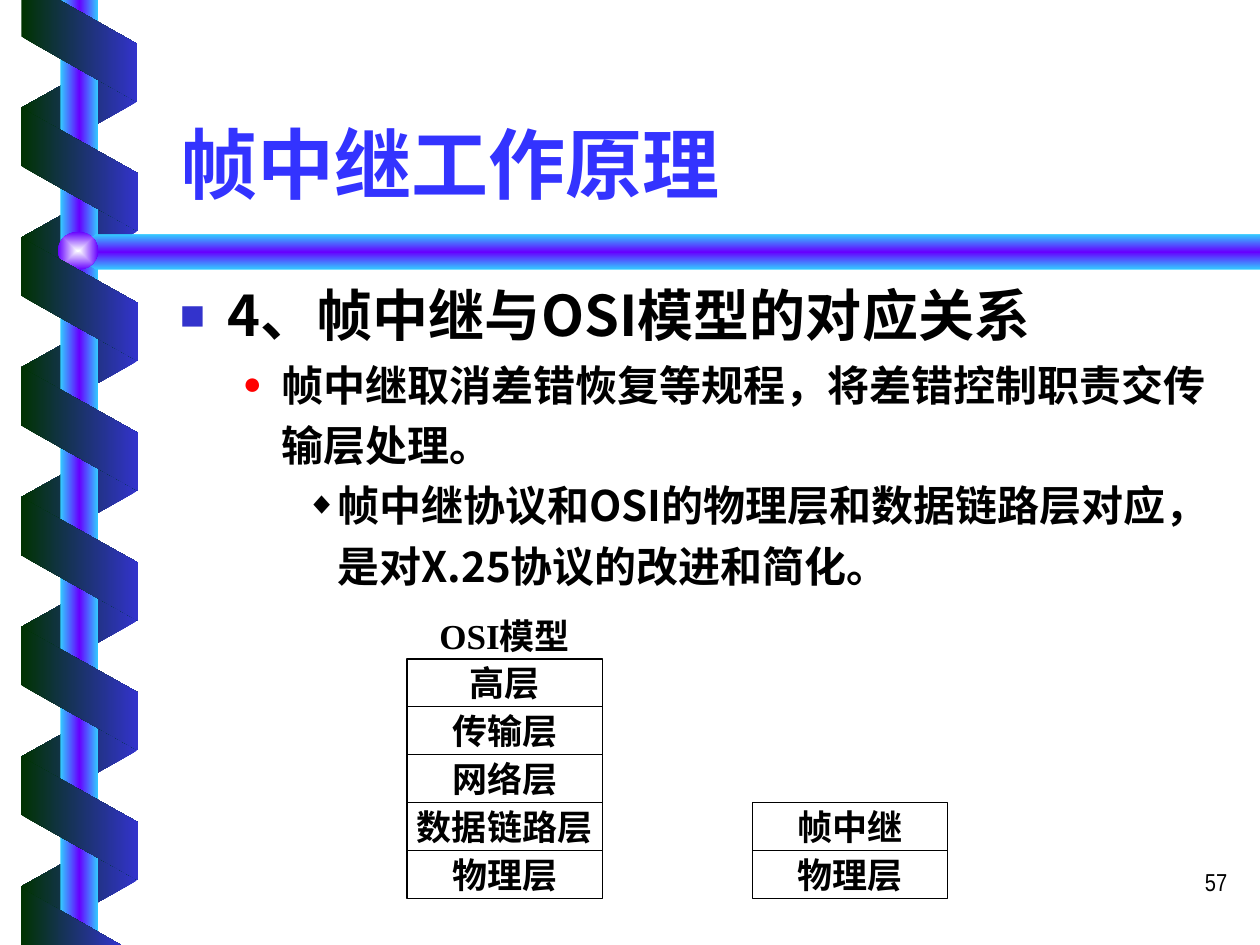
from lxml import etree
from pptx import Presentation
from pptx.dml.color import RGBColor
from pptx.enum.shapes import MSO_SHAPE
from pptx.enum.text import MSO_ANCHOR, MSO_AUTO_SIZE, PP_ALIGN
from pptx.oxml import parse_xml
from pptx.oxml.ns import nsdecls, qn
from pptx.util import Inches, Pt

RECTANGLE, OVAL = MSO_SHAPE.RECTANGLE, MSO_SHAPE.OVAL
PARALLELOGRAM = MSO_SHAPE.PARALLELOGRAM
TOP, MIDDLE, BOTTOM = MSO_ANCHOR.TOP, MSO_ANCHOR.MIDDLE, MSO_ANCHOR.BOTTOM
LEFT, CENTER, RIGHT = PP_ALIGN.LEFT, PP_ALIGN.CENTER, PP_ALIGN.RIGHT
SANS, SERIF, NARROW = "Noto Sans CJK SC", "Times New Roman", "Arial Narrow"
GREEN_TO_BLUE = ["003300", "3333CC"]
TUBE = ["33CCFF", "6600FF", "33CCFF"]
PITCH = 1.03  # one turn of the ribbon


def paint_gradient(shape, colors, angle=0, centered=False):
    """Fill a shape with evenly spaced colour stops and remove line and shadow."""
    stops = "".join(
        f'<a:gs pos="{100000 * i // (len(colors) - 1)}"><a:srgbClr val="{color}"/></a:gs>'
        for i, color in enumerate(colors))
    direction = f'<a:lin ang="{angle * 60000}" scaled="0"/>'
    if centered:
        direction = ('<a:path path="rect"><a:fillToRect l="50000" t="50000" '
                     'r="50000" b="50000"/></a:path>')
    gradient = parse_xml(f'<a:gradFill {nsdecls("a")} rotWithShape="0">'
                         f'<a:gsLst>{stops}</a:gsLst>{direction}</a:gradFill>')
    shape.shadow.inherit = False
    shape.line.fill.background()
    shape.fill.background()
    properties = shape._element.spPr
    properties.replace(properties.find(qn("a:noFill")), gradient)


def format_text(shape, size, font_name, color="000000", bold=True,
                align=LEFT, anchor=TOP, margins=(0.1, 0.05), wrap=True):
    """Format the frame, paragraphs and runs of a shape that holds text."""
    frame = shape.text_frame
    frame.auto_size = MSO_AUTO_SIZE.NONE
    frame.word_wrap = wrap
    frame.vertical_anchor = anchor
    frame.margin_left = frame.margin_right = Inches(margins[0])
    frame.margin_top = frame.margin_bottom = Inches(margins[1])
    for paragraph in frame.paragraphs:
        paragraph.alignment = align
        for run in paragraph.runs:
            run.font.size = Pt(size)
            run.font.bold = bold
            run.font.name = font_name
            run.font.color.rgb = RGBColor.from_string(color)
            east_asian = etree.SubElement(run.font._element, qn("a:ea"))
            east_asian.set("typeface", SANS)


presentation = Presentation()
presentation.slide_width, presentation.slide_height = Inches(10), Inches(7.5)
slide = presentation.slides.add_slide(presentation.slide_layouts[5])
shapes = slide.shapes

# Back turns of the ribbon
for turn in range(7):
    ribbon = shapes.add_shape(PARALLELOGRAM, Inches(0.14), Inches(0.37 + turn * PITCH),
                              Inches(0.98), Inches(0.92))
    ribbon.adjustments[0] = 0.56
    ribbon.rotation = 90
    ribbon._element.spPr.get_or_add_xfrm().set("flipH", "1")
    paint_gradient(ribbon, GREEN_TO_BLUE[::-1])

# Vertical pole, horizontal bar and the joint between them
pole = shapes.add_shape(RECTANGLE, Inches(0.48), 0, Inches(0.3), presentation.slide_height)
paint_gradient(pole, TUBE)

bar_points = [(10, 1.86), (0.76, 1.86), (0.6, 2), (0.76, 2.14), (10, 2.14)]
top_points = [(0.17, 0), (0.17, 0.29), (1.09, 0.81), (1.09, 0.35), (0.47, 0)]
bottom_points = [(0.96, 7.5), (0.17, 7.05), (0.17, 7.5)]
outlines = []
for points in (bar_points, top_points, bottom_points):
    corners = [(Inches(x), Inches(y)) for x, y in points]
    builder = shapes.build_freeform(*corners[0])
    builder.add_line_segments(corners[1:], close=True)
    outlines.append(builder.convert_to_shape())
bar, ribbon_start, ribbon_end = outlines
paint_gradient(bar, TUBE, angle=90)
paint_gradient(ribbon_start, GREEN_TO_BLUE)
paint_gradient(ribbon_end, GREEN_TO_BLUE)

joint = shapes.add_shape(OVAL, Inches(0.46), Inches(1.84), Inches(0.32), Inches(0.3))
paint_gradient(joint, ["FEFFFF", "6600FF"], centered=True)

# Front turns of the ribbon
for turn in range(6):
    ribbon = shapes.add_shape(PARALLELOGRAM, Inches(0.14), Inches(0.88 + turn * PITCH),
                              Inches(0.98), Inches(0.93))
    ribbon.adjustments[0] = 0.56
    ribbon.rotation = 270
    paint_gradient(ribbon, GREEN_TO_BLUE)

# Slide number
number = shapes.add_textbox(Inches(7.76), Inches(6.83), Inches(2.08), Inches(0.5))
number.text_frame.text = "57"
format_text(number, 14, NARROW, bold=False, align=RIGHT)

# Title
title = shapes.title
title.left, title.top, title.width, title.height = map(Inches, (1.33, 0.46, 8.5, 1.25))
title.text_frame.text = "帧中继工作原理"
format_text(title, 44, SANS, "3333FF", anchor=BOTTOM)

# Bulleted body: text, size, left margin, hanging, line spacing, bullet, bullet colour
points = [
    ("4、帧中继与OSI模型的对应关系", 32, 0.38, 0.38, 0.9, "■", "3333CC"),
    ("帧中继取消差错恢复等规程，将差错控制职责交传输层处理。",
     24, 0.81, 0.31, 1.2, "●", "FF0000"),
    ("帧中继协议和OSI的物理层和数据链路层对应，是对X.25协议的改进和简化。",
     24, 1.25, 0.25, 1.2, "◆", "000000"),
]
body = shapes.add_textbox(Inches(1.33), Inches(2.24), Inches(8.5), Inches(2.6))
body.text_frame.text = "\n".join(point[0] for point in points)
format_text(body, 24, SANS)
for level, (paragraph, point) in enumerate(zip(body.text_frame.paragraphs, points)):
    _, size, margin, hanging, spacing, bullet, color = point
    paragraph.level = level
    paragraph.line_spacing = spacing
    paragraph.runs[0].font.size = Pt(size)
    properties = paragraph._p.get_or_add_pPr()
    properties.set("marL", str(Inches(margin)))
    properties.set("indent", str(-Inches(hanging)))
    bullet_color = etree.SubElement(properties, qn("a:buClr"))
    etree.SubElement(bullet_color, qn("a:srgbClr")).set("val", color)
    etree.SubElement(properties, qn("a:buSzPct")).set("val", "75000")
    etree.SubElement(properties, qn("a:buFont")).set("typeface", SERIF)
    etree.SubElement(properties, qn("a:buChar")).set("char", bullet)

# Protocol stacks on a shared grid of rows
label = shapes.add_textbox(Inches(3.11), Inches(4.88), Inches(1.79), Inches(0.33))
label.text_frame.text = "OSI模型"
format_text(label, 20, SERIF, align=CENTER, anchor=MIDDLE, margins=(0, 0))

stacks = [
    (3.23, 0, ["高层", "传输层", "网络层", "数据链路层", "物理层"]),
    (5.97, 3, ["帧中继", "物理层"]),
]
row_height = 0.38
for left, first_row, layers in stacks:
    for row, layer in enumerate(layers, first_row):
        box = shapes.add_shape(RECTANGLE, Inches(left), Inches(5.23 + row * row_height),
                               Inches(1.55), Inches(row_height))
        box.shadow.inherit = False
        box.fill.background()
        box.line.color.rgb = RGBColor.from_string("000000")
        box.line.width = Pt(0.75)
        box.text_frame.text = layer
        format_text(box, 20, SERIF, align=CENTER, anchor=MIDDLE, margins=(0, 0), wrap=False)

presentation.save("out.pptx")
